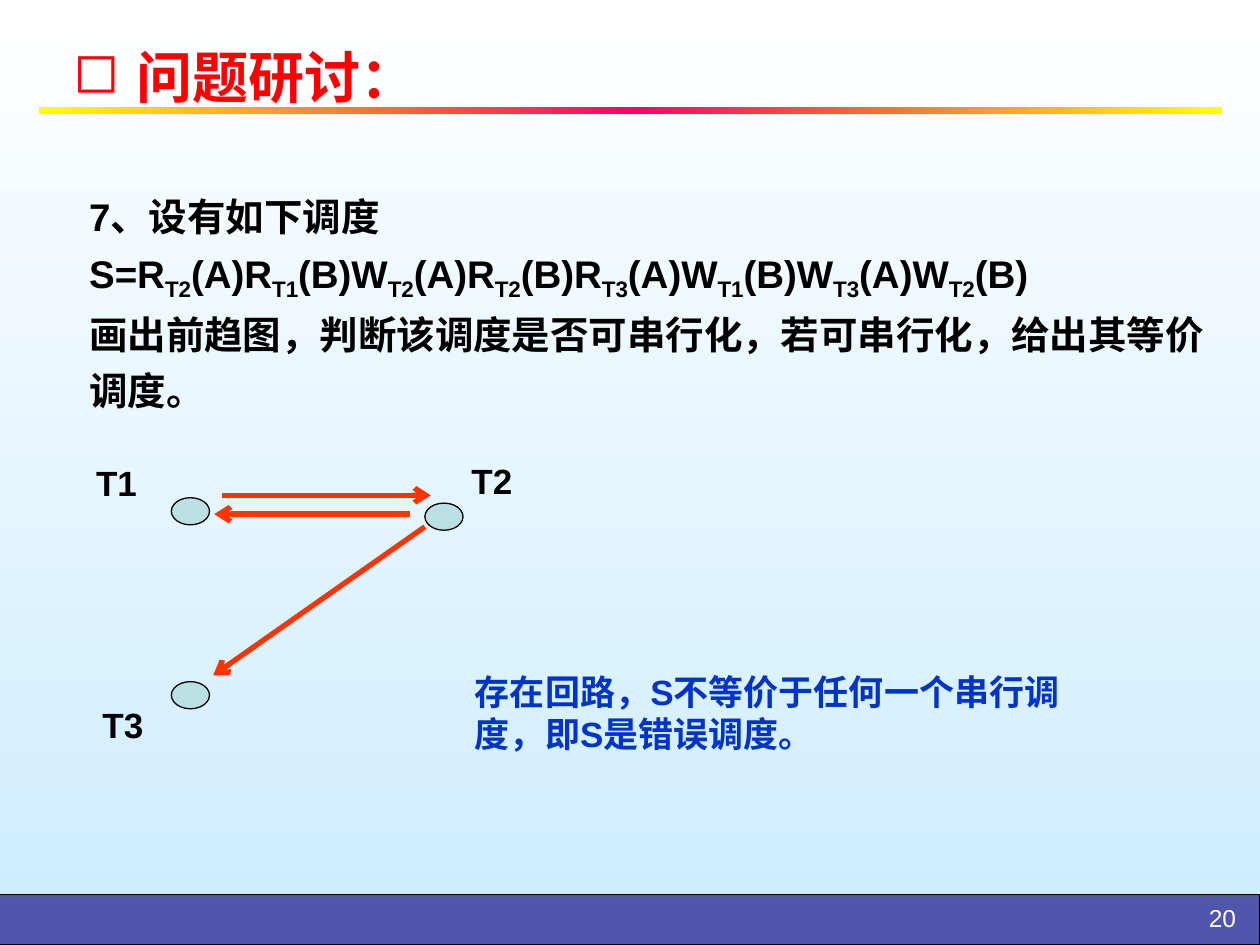
from dataclasses import dataclass
from copy import deepcopy

from lxml.etree import SubElement
from pptx import Presentation
from pptx.dml.color import RGBColor
from pptx.dml.fill import FillFormat
from pptx.enum.shapes import MSO_CONNECTOR, MSO_SHAPE
from pptx.enum.text import MSO_ANCHOR, MSO_AUTO_SIZE, PP_ALIGN
from pptx.oxml.ns import qn
from pptx.shapes.autoshape import Shape
from pptx.slide import Slide
from pptx.text.text import TextFrame, _Paragraph
from pptx.util import Pt


@dataclass
class Area:
    left: float
    top: float
    width: float
    height: float

    def lengths(self) -> list[Pt]:
        return [Pt(value) for value in (self.left, self.top, self.width, self.height)]


@dataclass
class Style:
    size: float
    color: str
    bold: bool = True
    font: str = "Arial"


@dataclass
class Node:
    name: str
    oval: Area
    label: Area


@dataclass
class Arrow:
    start: tuple[float, float]
    end: tuple[float, float]


BODY = Style(22, "000000")
LABEL = Style(20, "000000")
ANSWER = Style(20, "0033CC")
TITLE = Style(32, "FF0000", font="Calibri")
NUMBER = Style(14, "FFFFFF", bold=False)

SCHEDULE = [
    ("7、设有如下调度S=R", "T2"), ("(A)R", "T1"), ("(B)W", "T2"), ("(A)R", "T2"),
    ("(B)R", "T3"), ("(A)W", "T1"), ("(B)W", "T3"), ("(A)W", "T2"), ("(B)", ""),
]
TASK = "画出前趋图，判断该调度是否可串行化，若可串行化，给出其等价调度。"

NODES = [
    Node("T1", Area(97.9, 284.4, 21.8, 15.5), Area(54, 263.8, 25.2, 32.4)),
    Node("T2", Area(242.8, 287.5, 21.8, 15.5), Area(268.5, 262.7, 25.2, 32.4)),
    Node("T3", Area(97.9, 389.5, 21.8, 15.5), Area(57.6, 402, 25.2, 32.4)),
]
ARROWS = [
    Arrow((242.8, 301), (121.8, 386)),
    Arrow((234, 293.8), (122.4, 293.8)),
    Arrow((126.7, 283), (246.2, 283)),
]


def hex_color(value: str) -> RGBColor:
    return RGBColor.from_string(value)


def set_gradient(fill: FillFormat, colors: list[str], angle: float) -> None:
    fill.gradient()
    fill.gradient_angle = angle
    first = fill.gradient_stops[0]._gs
    for _ in colors[2:]:
        first.addnext(deepcopy(first))
    for index, (stop, color) in enumerate(zip(fill.gradient_stops, colors)):
        stop.position = index / (len(colors) - 1)
        stop.color.rgb = hex_color(color)


def add_span(para: _Paragraph, text: str, style: Style, subscript: bool = False) -> None:
    span = para.add_run()
    span.text = text
    span.font.name = style.font
    span.font.size = Pt(style.size)
    span.font.bold = style.bold
    span.font.color.rgb = hex_color(style.color)
    if subscript:
        span.font._element.set("baseline", "-25000")


def add_text(page: Slide, area: Area, text: str, style: Style,
             align: PP_ALIGN = PP_ALIGN.LEFT, inset: bool = True) -> TextFrame:
    frame = page.shapes.add_textbox(*area.lengths()).text_frame
    frame.word_wrap = True
    if not inset:
        frame.margin_left = frame.margin_right = Pt(0)
        frame.margin_top = frame.margin_bottom = Pt(0)
    para = frame.paragraphs[0]
    para.alignment = align
    if text:
        add_span(para, text, style)
    return frame


def add_solid(page: Slide, kind: MSO_SHAPE, area: Area, color: str) -> Shape:
    shape = page.shapes.add_shape(kind, *area.lengths())
    shape.shadow.inherit = False
    shape.fill.solid()
    shape.fill.fore_color.rgb = hex_color(color)
    shape.line.color.rgb = hex_color("000000")
    shape.line.width = Pt(0.75)
    return shape


def add_arrow(page: Slide, arrow: Arrow) -> None:
    points = [Pt(value) for value in (*arrow.start, *arrow.end)]
    connector = page.shapes.add_connector(MSO_CONNECTOR.STRAIGHT, *points)
    connector.line.color.rgb = hex_color("FF3300")
    connector.line.width = Pt(3)
    SubElement(connector.line._get_or_add_ln(), qn("a:tailEnd")).set("type", "arrow")
    SubElement(connector._element.spPr, qn("a:effectLst"))


def add_frame(page: Slide) -> None:
    set_gradient(page.background.fill, ["FFFFFF", "CCECFF"], 270)
    footer = add_solid(page, MSO_SHAPE.RECTANGLE, Area(-0.5, 511.2, 720.5, 28.5), "333399")
    color = footer.fill._xPr.find(".//" + qn("a:srgbClr"))
    SubElement(color, qn("a:alpha")).set("val", "81000")
    rule = page.shapes.add_shape(MSO_SHAPE.RECTANGLE, *Area(22.4, 61.2, 675.8, 4).lengths())
    rule.shadow.inherit = False
    rule.line.fill.background()
    set_gradient(rule.fill, ["FFFF00", "FF0066", "FFFF00"], 0)
    add_text(page, Area(643.7, 512.6, 69.8, 21.6), "20", NUMBER, PP_ALIGN.RIGHT)


def format_title(page: Slide) -> None:
    title = page.shapes.title
    title.left, title.top, title.width, title.height = Area(34.6, 1.4, 211, 65.5).lengths()
    frame = title.text_frame
    frame.word_wrap = False
    frame.auto_size = MSO_AUTO_SIZE.SHAPE_TO_FIT_TEXT
    frame.vertical_anchor = MSO_ANCHOR.TOP
    para = frame.paragraphs[0]
    para.alignment = PP_ALIGN.JUSTIFY
    para.line_spacing = 1.5
    properties = para._p.get_or_add_pPr()
    properties.set("marL", str(Pt(36)))
    properties.set("indent", str(-Pt(36)))
    SubElement(properties, qn("a:buChar")).set("char", "◻")
    add_span(para, "问题研讨：", TITLE)


def add_question(page: Slide) -> None:
    frame = add_text(page, Area(43.9, 101.5, 655.2, 135.4), "", BODY)
    schedule = frame.paragraphs[0]
    for text, transaction in SCHEDULE:
        add_span(schedule, text, BODY)
        if transaction:
            add_span(schedule, transaction, BODY, subscript=True)
    add_span(frame.add_paragraph(), TASK, BODY)
    for para in frame.paragraphs:
        para.line_spacing = 1.2


def main() -> None:
    deck = Presentation()
    deck.slide_width, deck.slide_height = Pt(720), Pt(540)
    page = deck.slides.add_slide(deck.slide_layouts[5])
    add_frame(page)
    format_title(page)
    add_question(page)
    for node in NODES:
        add_solid(page, MSO_SHAPE.OVAL, node.oval, "BBE0E3")
        add_text(page, node.label, node.name, LABEL, PP_ALIGN.CENTER, inset=False)
    for arrow in ARROWS:
        add_arrow(page, arrow)
    add_text(page, Area(264.3, 379.4, 365.8, 72.7),
             "存在回路，S不等价于任何一个串行调度，即S是错误调度。", ANSWER)
    deck.save("out.pptx")


if __name__ == "__main__":
    main()
